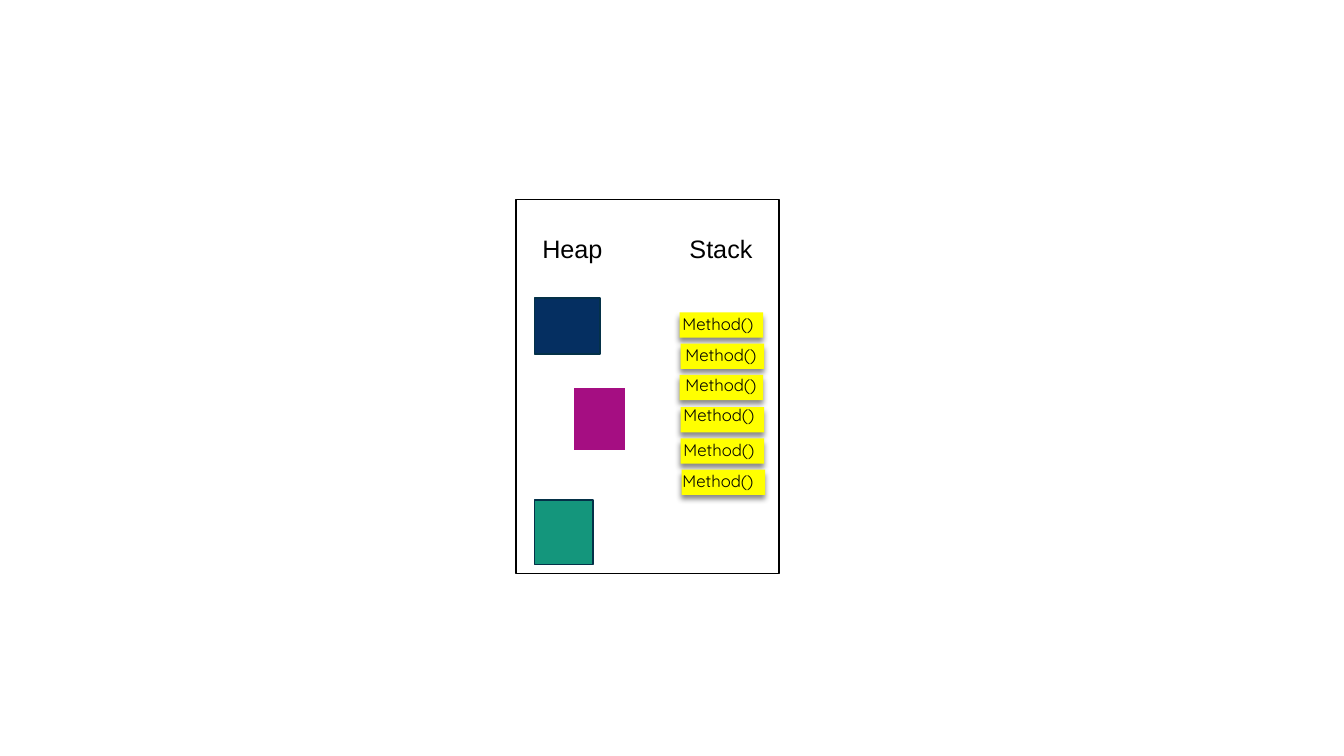
from dataclasses import dataclass

from lxml import etree
from pptx import Presentation
from pptx import util as u
from pptx.dml.color import RGBColor
from pptx.enum import shapes, text
from pptx.oxml.ns import qn


@dataclass(frozen=True)
class Theme:
    black: str = "000000"
    white: str = "FFFFFF"
    navy: str = "052F61"
    magenta: str = "A50E82"
    green: str = "14967C"
    outline: str = "043148"
    yellow: str = "FFFF00"
    heading_font: str = "Arial"
    heading_size: int = 18
    method_font: str = "Quicksand"
    method_size: int = 12


theme = Theme()
PX = u.Inches(1) // 100

presentation = Presentation()
presentation.slide_width = 1333 * PX
presentation.slide_height = 750 * PX
slide = presentation.slides.add_slide(presentation.slide_layouts[6])


def add_box(left, top, width, height, fill, line=None, line_width=1.25):
    shape = slide.shapes.add_shape(
        shapes.MSO_SHAPE.RECTANGLE, left * PX, top * PX, width * PX, height * PX
    )
    shape.shadow.inherit = False
    shape.fill.solid()
    shape.fill.fore_color.rgb = RGBColor.from_string(fill)
    if line:
        shape.line.color.rgb = RGBColor.from_string(line)
        shape.line.width = u.Pt(line_width)
    else:
        shape.line.fill.background()
    return shape


def add_label(left, top, width, height, wording, font, size):
    shape = slide.shapes.add_textbox(left * PX, top * PX, width * PX, height * PX)
    frame = shape.text_frame
    frame.word_wrap = False
    frame.auto_size = text.MSO_AUTO_SIZE.SHAPE_TO_FIT_TEXT
    run = frame.paragraphs[0].add_run()
    run.text = wording
    run.font.name = font
    run.font.size = u.Pt(size)
    run.font.color.rgb = RGBColor.from_string(theme.black)


add_box(512, 198, 261, 371, theme.white, theme.black)

for heading, left, width in (("Heap", 528, 81), ("Stack", 674, 83)):
    add_label(left, 227, width, 40, heading, theme.heading_font, theme.heading_size)

add_box(530, 296, 65, 55, theme.navy, theme.outline)
add_box(568, 383, 54, 65, theme.magenta, theme.white, 2.25)
add_box(530, 496, 58, 64, theme.green, theme.outline)

stack_top, stack_pitch = 310, 31.2
for level, left in enumerate((674, 675, 674, 675, 675, 676)):
    frame_top = round(stack_top + level * stack_pitch)
    stack_frame = add_box(left, frame_top, 83, 25, theme.yellow)
    effects = stack_frame._element.spPr.find(qn("a:effectLst"))
    shadow = etree.SubElement(
        effects, qn("a:outerShdw"), blurRad=str(u.Pt(4)), dist=str(u.Pt(3)),
        dir="5400000", algn="ctr", rotWithShape="0",
    )
    shadow_color = etree.SubElement(shadow, qn("a:srgbClr"), val=theme.black)
    etree.SubElement(shadow_color, qn("a:alpha"), val="46000")

method_places = ((667, 306), (670, 337), (670, 367), (668, 397), (668, 431), (667, 462))
for left, top in method_places:
    add_label(left, top, 98, 30, "Method()", theme.method_font, theme.method_size)

presentation.save("out.pptx")
